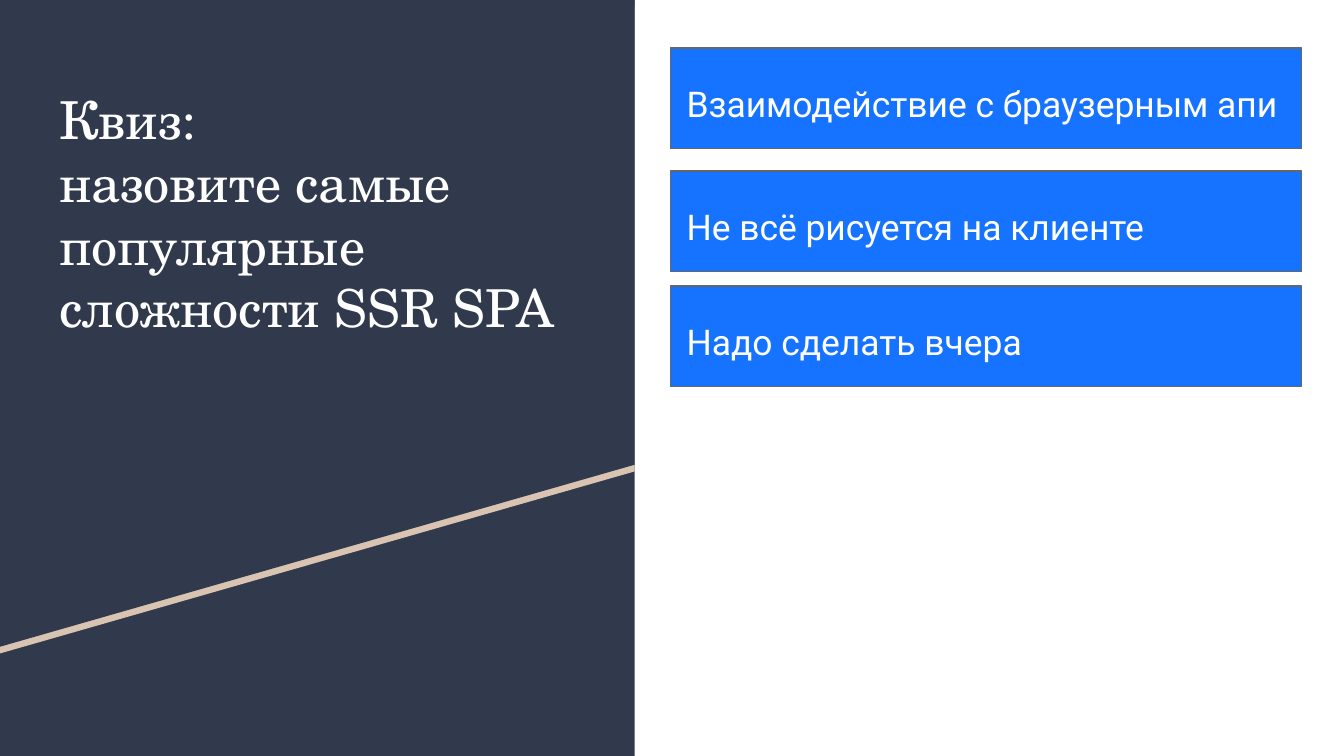
from pptx import Presentation
from pptx.dml.color import RGBColor as RGB
from pptx.enum.shapes import MSO_SHAPE as SHAPE
from pptx.enum.text import MSO_ANCHOR as ANCHOR, MSO_AUTO_SIZE as AUTO, PP_ALIGN as ALIGN
from pptx.util import Pt

# Content
TITLE = ["Квиз:", "назовите самые популярные сложности SSR SPA"]
ANSWERS = [  # top of the card, text
    (25.7, "Взаимодействие с браузерным апи"),
    (91.6, "Не всё рисуется на клиенте"),
    (153.2, "Надо сделать вчера"),
]

THEME = {
    "navy": RGB.from_string("31394D"),
    "sand": RGB.from_string("D9C4B1"),
    "blue": RGB.from_string("1673FF"),
    "grey": RGB.from_string("666666"),
    "white": RGB.from_string("FFFFFF"),
    "title": ("TeX Gyre Schola", 28),
    "answer": ("Roboto", 19),
}

# Layout, in points
SLIDE_W, SLIDE_H = 720, 405
PANEL_W = 340
SLOPE_LEFT, SLOPE_RIGHT = 346.5, 249
STRIPE = 3.6
TITLE_BOX = (24.5, 39.6, 291.6, 197.3)
CARD_X, CARD_W, CARD_H = 359.2, 338, 54
LABEL_DX, LABEL_DY, LABEL_W, LABEL_H = 1.5, 11.1, 334, 50
INSET = 7.2


def paint(sp, fill, line=None):
    sp.shadow.inherit = False
    sp.fill.solid()
    sp.fill.fore_color.rgb = THEME[fill]
    if line:
        sp.line.color.rgb = THEME[line]
        sp.line.width = Pt(0.75)
    else:
        sp.line.fill.background()


def add_rect(shapes, box, fill, line=None):
    sp = shapes.add_shape(SHAPE.RECTANGLE, *map(Pt, box))
    paint(sp, fill, line)


def add_slope(shapes, top, fill):
    corners = [(0, top), (PANEL_W, top), (PANEL_W, SLOPE_RIGHT + top), (0, SLOPE_LEFT + top)]
    points = [(Pt(x), Pt(y)) for x, y in corners]
    builder = shapes.build_freeform(*points[0])
    builder.add_line_segments(points[1:], close=True)
    paint(builder.convert_to_shape(), fill)


def write(sp, lines, style):
    tf = sp.text_frame
    tf.word_wrap = True
    tf.auto_size = AUTO.NONE
    tf.vertical_anchor = ANCHOR.TOP
    tf.margin_left = tf.margin_right = tf.margin_top = tf.margin_bottom = Pt(INSET)
    tf.text = "\n".join(lines)
    name, size = THEME[style]
    for p in tf.paragraphs:
        p.alignment = ALIGN.LEFT
        p.space_before = Pt(0)
        p.font.name = name
        p.font.size = Pt(size)
        p.font.color.rgb = THEME["white"]


prs = Presentation()
prs.slide_width, prs.slide_height = Pt(SLIDE_W), Pt(SLIDE_H)
slide = prs.slides.add_slide(prs.slide_layouts[5])
shapes = slide.shapes

# Dark panel with a sloping stripe
add_rect(shapes, (0, 0, PANEL_W, SLIDE_H), "navy")
add_slope(shapes, STRIPE, "sand")
add_slope(shapes, 0, "navy")

# Title, brought in front of the panel
title = shapes.title
title.left, title.top, title.width, title.height = map(Pt, TITLE_BOX)
write(title, TITLE, "title")
title.element.getparent().append(title.element)

# Answer cards
for top, text in ANSWERS:
    add_rect(shapes, (CARD_X, top, CARD_W, CARD_H), "blue", "grey")
    label = (CARD_X + LABEL_DX, top + LABEL_DY, LABEL_W, LABEL_H)
    write(shapes.add_textbox(*map(Pt, label)), [text], "answer")

prs.save("out.pptx")
